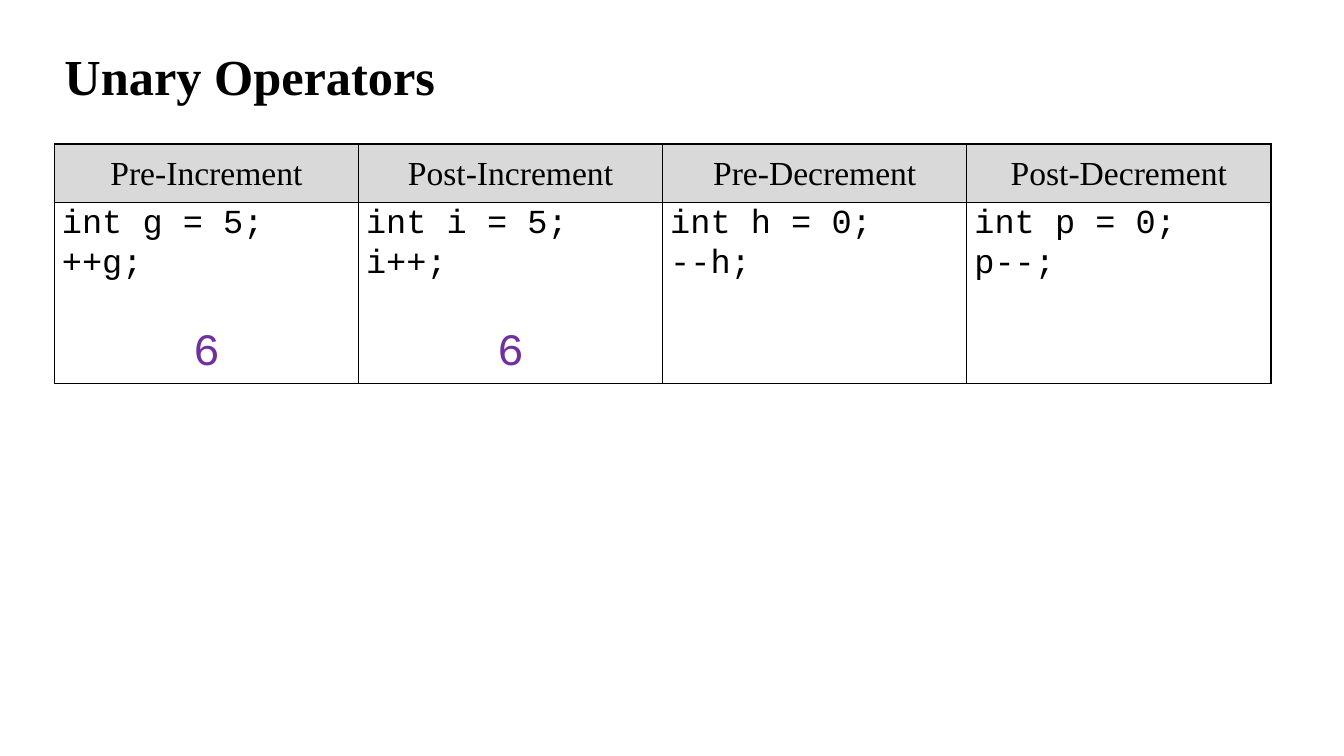
from dataclasses import dataclass

from lxml import etree
from pptx import Presentation
from pptx import util as u
from pptx.dml import color
from pptx.enum import text
from pptx.oxml import ns


@dataclass(frozen=True)
class Theme:
    black: str = "000000"
    white: str = "FFFFFF"
    header: str = "D9D9D9"
    answer: str = "7030A0"
    serif: str = "Times New Roman"
    mono: str = "Courier New"
    title_size: int = 36
    body_size: int = 24
    answer_size: int = 32
    border_width: int = 1


THEME = Theme()

OPERATORS = [
    ("Pre-Increment", ["int g = 5;", "++g;"], "6"),
    ("Post-Increment", ["int i = 5;", "i++;"], "6"),
    ("Pre-Decrement", ["int h = 0;", "--h;"], None),
    ("Post-Decrement", ["int p = 0;", "p--;"], None),
]


def write(p, content, *, font=THEME.mono, size=THEME.body_size,
          ink=THEME.black, bold=False, align=text.PP_ALIGN.LEFT,
          spacing=1.07, before=0):
    p.alignment = align
    p.line_spacing = spacing
    p.space_before = u.Pt(before)
    p.space_after = u.Pt(0)
    r = p.add_run()
    r.text = content
    r.font.name = font
    r.font.size = u.Pt(size)
    r.font.bold = bold
    r.font.color.rgb = color.RGBColor.from_string(ink)


def add_title(s, content):
    sp = s.shapes.title
    sp.left, sp.top = u.Cm(1.37), u.Cm(0.74)
    sp.width, sp.height = u.Cm(29.21), u.Cm(2.49)
    tf = sp.text_frame
    tf.auto_size = text.MSO_AUTO_SIZE.NONE
    tf.vertical_anchor = text.MSO_ANCHOR.MIDDLE
    write(tf.paragraphs[0], content, font=THEME.serif,
          size=THEME.title_size, bold=True, spacing=0.9)


def add_borders(cell):
    tc_pr = cell._tc.get_or_add_tcPr()
    for side in ("lnL", "lnR", "lnT", "lnB"):
        ln = etree.SubElement(tc_pr, ns.qn(f"a:{side}"),
                              w=str(u.Pt(THEME.border_width)))
        fill = etree.SubElement(ln, ns.qn("a:solidFill"))
        etree.SubElement(fill, ns.qn("a:srgbClr"), val=THEME.black)


def format_cell(cell, fill, anchor):
    cell.margin_left = cell.margin_right = u.Cm(0.19)
    cell.margin_top = cell.margin_bottom = 0
    cell.vertical_anchor = anchor
    add_borders(cell)
    cell.fill.solid()
    cell.fill.fore_color.rgb = color.RGBColor.from_string(fill)


def fill_header(cell, name):
    format_cell(cell, THEME.header, text.MSO_ANCHOR.MIDDLE)
    write(cell.text_frame.paragraphs[0], name, font=THEME.serif,
          align=text.PP_ALIGN.CENTER)


def fill_code(cell, lines, answer):
    format_cell(cell, THEME.white, text.MSO_ANCHOR.TOP)
    tf = cell.text_frame
    for i, line in enumerate(lines):
        write(tf.add_paragraph() if i else tf.paragraphs[0], line)
    if answer:
        write(tf.add_paragraph(), answer, size=THEME.answer_size,
              ink=THEME.answer, align=text.PP_ALIGN.CENTER, before=29)


def add_operator_table(s, operators):
    heights = [u.Cm(1.47), u.Cm(4.57)]
    table = s.shapes.add_table(len(heights), len(operators), u.Cm(1.37),
                               u.Cm(3.63), u.Cm(30.66), sum(heights)).table
    table.first_row = table.horz_banding = False
    for row, height in zip(table.rows, heights):
        row.height = height
    for col, (name, lines, answer) in enumerate(operators):
        fill_header(table.cell(0, col), name)
        fill_code(table.cell(1, col), lines, answer)


def main():
    prs = Presentation()
    prs.slide_width, prs.slide_height = u.Cm(33.87), u.Cm(19.05)
    s = prs.slides.add_slide(prs.slide_layouts[5])
    add_title(s, "Unary Operators")
    add_operator_table(s, OPERATORS)
    prs.save("out.pptx")


if __name__ == "__main__":
    main()
